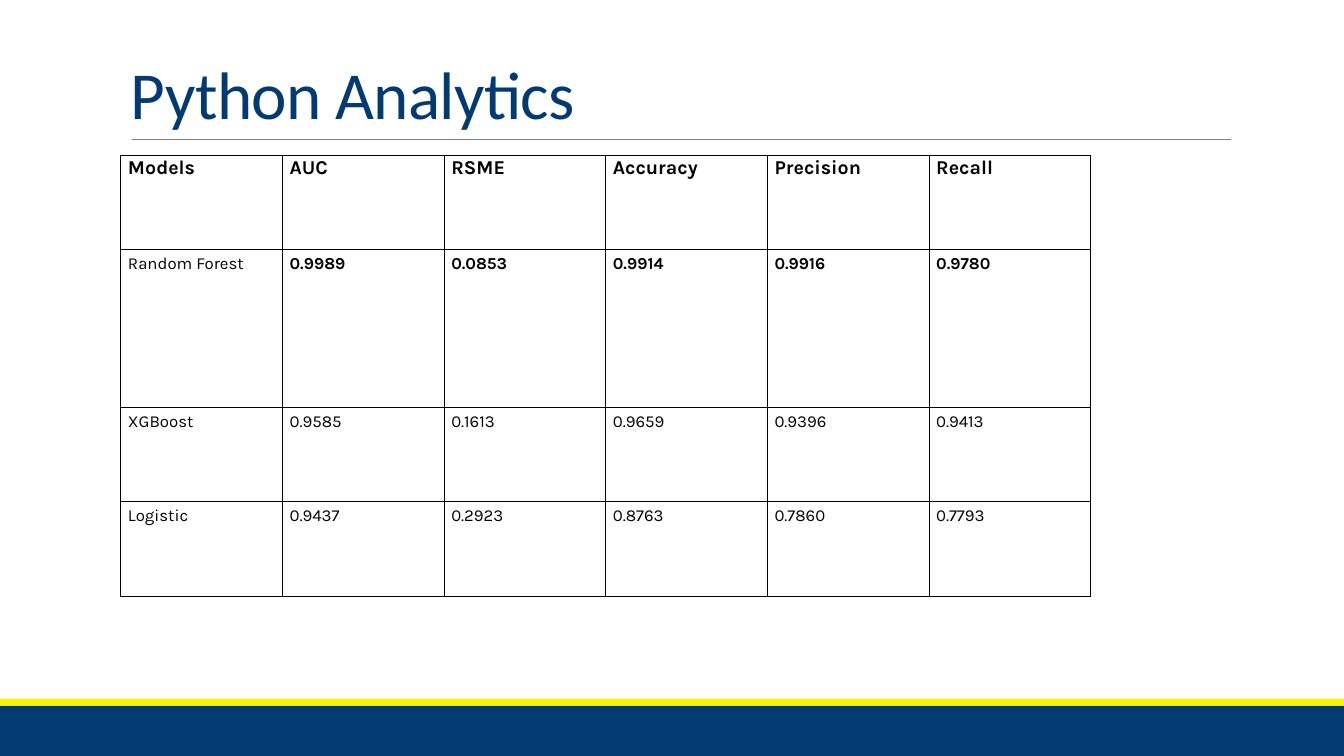
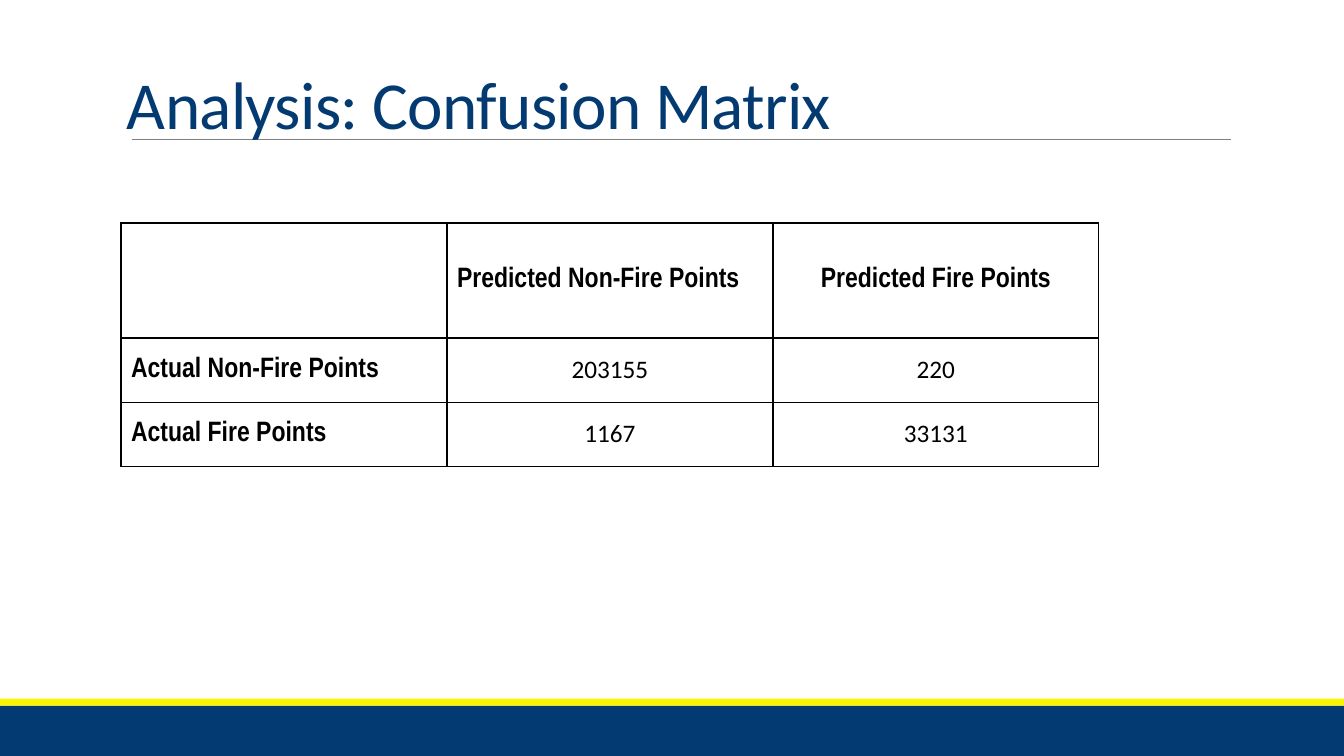
from dataclasses import dataclass

import lxml.etree
import pptx
import pptx.dml.color
import pptx.enum.shapes
import pptx.enum.text
import pptx.oxml.ns
import pptx.presentation
import pptx.shapes.autoshape
import pptx.slide
import pptx.table
import pptx.text.text
import pptx.util

WIDTH = pptx.util.Inches(13.33)
HEIGHT = pptx.util.Inches(7.5)
COLORS = {"navy": "033A71", "yellow": "FAF402", "rule": "808080", "text": "000000"}
ANCHOR = pptx.enum.text.MSO_ANCHOR
ALIGN = pptx.enum.text.PP_ALIGN
SIDES = ("lnL", "lnR", "lnT", "lnB")


@dataclass(frozen=True)
class Box:
    """Percentages of the slide's width and height."""
    left: float
    top: float
    width: float
    height: float

    def emu(self) -> tuple[int, int, int, int]:
        return x(self.left), y(self.top), x(self.width), y(self.height)


@dataclass(frozen=True)
class Band:
    box: Box
    color: str


@dataclass(frozen=True)
class Style:
    font: dict
    paragraph: dict
    color: str = "text"
    spacing: int = 0


@dataclass(frozen=True)
class Grid:
    left: float
    top: float
    width: float
    rows: tuple[float, ...]
    border: float
    cell: dict
    texts: tuple[tuple[str, ...], ...]
    styles: tuple[tuple[Style, ...], ...]


@dataclass(frozen=True)
class Page:
    title: str
    title_box: Box
    grid: Grid


def x(share: float) -> int:
    return round(WIDTH * share / 100)


def y(share: float) -> int:
    return round(HEIGHT * share / 100)


def rgb(name: str) -> pptx.dml.color.RGBColor:
    return pptx.dml.color.RGBColor.from_string(COLORS[name])


def apply(target: object, values: dict) -> None:
    for name, value in values.items():
        setattr(target, name, value)


def make_style(font: str, size: float, bold: bool, **paragraph) -> Style:
    return Style(dict(name=font, size=pptx.util.Pt(size), bold=bold), paragraph)


TITLE = Style(dict(name="Calibri", size=pptx.util.Pt(48), bold=False),
              dict(line_spacing=0.85), "navy", -50)
BANDS = (
    Band(Box(0, 93.33, 100, 6.67), "navy"),
    Band(Box(0, 92.4, 100, 0.93), "yellow"),
)
RULE = Box(9.82, 18.4, 81.78, 0)

TIGHT = dict(line_spacing=pptx.util.Pt(13.5))
HEADING = make_style("Karla", 14, True, **TIGHT)
BEST = make_style("Karla", 12, True, **TIGHT)
SCORE = make_style("Karla", 12, False, **TIGHT)
LABEL = make_style("Arial Narrow", 20, True)
LABEL_CENTERED = make_style("Arial Narrow", 20, True, alignment=ALIGN.CENTER)
COUNT = make_style("Calibri", 18, False, alignment=ALIGN.CENTER)

MODELS = Grid(
    left=9, top=20.55, width=72.17, rows=(12.5, 20.83, 12.5, 12.5), border=0.75,
    cell=dict(margin_left=pptx.util.Inches(0.07), margin_right=pptx.util.Inches(0.07)),
    texts=(
        ("Models", "AUC", "RSME", "Accuracy", "Precision", "Recall"),
        ("Random Forest", "0.9989", "0.0853", "0.9914", "0.9916", "0.9780"),
        ("XGBoost", "0.9585", "0.1613", "0.9659", "0.9396", "0.9413"),
        ("Logistic", "0.9437", "0.2923", "0.8763", "0.7860", "0.7793"),
    ),
    styles=((HEADING,) * 6, (SCORE,) + (BEST,) * 5, (SCORE,) * 6, (SCORE,) * 6),
)
CONFUSION = Grid(
    left=9, top=29.5, width=72.77, rows=(15.2, 8.5, 8.5), border=1,
    cell=dict(vertical_anchor=ANCHOR.MIDDLE),
    texts=(
        ("", "Predicted Non-Fire Points", "Predicted Fire Points"),
        ("Actual Non-Fire Points", "203155", "220"),
        ("Actual Fire Points", "1167", "33131"),
    ),
    styles=((LABEL, LABEL, LABEL_CENTERED),) + ((LABEL, COUNT, COUNT),) * 2,
)
PAGES = (
    Page("Python Analytics", Box(9, 4.13, 82.5, 14.13), MODELS),
    Page("Analysis: Confusion Matrix", Box(8.7, 5.47, 82.5, 14.13), CONFUSION),
)


def write(tf: pptx.text.text.TextFrame, text: str, style: Style) -> None:
    p = tf.paragraphs[0]
    apply(p, style.paragraph)
    if not text:
        return
    r = p.add_run()
    r.text = text
    apply(r.font, style.font)
    r.font.color.rgb = rgb(style.color)
    if style.spacing:
        r.font._element.set("spc", str(style.spacing))


def draw_frame(s: pptx.slide.Slide) -> None:
    for band in BANDS:
        sp = s.shapes.add_shape(pptx.enum.shapes.MSO_SHAPE.RECTANGLE, *band.box.emu())
        sp.shadow.inherit = False
        sp.fill.solid()
        sp.fill.fore_color.rgb = rgb(band.color)
        sp.line.fill.background()
    left, top, width, height = RULE.emu()
    line = s.shapes.add_connector(pptx.enum.shapes.MSO_CONNECTOR.STRAIGHT,
                                  left, top, left + width, top + height)
    line.line.color.rgb = rgb("rule")
    line.line.width = pptx.util.Pt(0.5)
    lxml.etree.SubElement(line._element.spPr, pptx.oxml.ns.qn("a:effectLst"))


def draw_title(s: pptx.slide.Slide, page: Page) -> None:
    tf = s.shapes.add_textbox(*page.title_box.emu()).text_frame
    apply(tf, dict(word_wrap=True, vertical_anchor=ANCHOR.BOTTOM))
    write(tf, page.title, TITLE)


def draw_borders(cell: pptx.table._Cell, width: float) -> None:
    qn = pptx.oxml.ns.qn
    tc_pr = cell._tc.get_or_add_tcPr()
    for side in SIDES:
        ln = lxml.etree.SubElement(tc_pr, qn(f"a:{side}"), w=str(pptx.util.Pt(width)))
        fill = lxml.etree.SubElement(ln, qn("a:solidFill"))
        lxml.etree.SubElement(fill, qn("a:srgbClr"), val=COLORS["text"])


def draw_grid(s: pptx.slide.Slide, grid: Grid) -> None:
    columns = len(grid.texts[0])
    box = Box(grid.left, grid.top, grid.width, sum(grid.rows))
    table = s.shapes.add_table(len(grid.rows), columns, *box.emu()).table
    apply(table, dict(first_row=False, horz_banding=False))
    for column in table.columns:
        column.width = x(grid.width / columns)
    for i, height in enumerate(grid.rows):
        table.rows[i].height = y(height)
        for j, (text, style) in enumerate(zip(grid.texts[i], grid.styles[i])):
            cell = table.cell(i, j)
            apply(cell, grid.cell)
            draw_borders(cell, grid.border)
            cell.fill.background()
            write(cell.text_frame, text, style)


def draw_page(prs: pptx.presentation.Presentation, page: Page) -> None:
    s = prs.slides.add_slide(prs.slide_layouts[6])
    draw_frame(s)
    draw_title(s, page)
    draw_grid(s, page.grid)


def main() -> None:
    prs = pptx.Presentation()
    apply(prs, dict(slide_width=WIDTH, slide_height=HEIGHT))
    for page in PAGES:
        draw_page(prs, page)
    prs.save("out.pptx")


if __name__ == "__main__":
    main()
